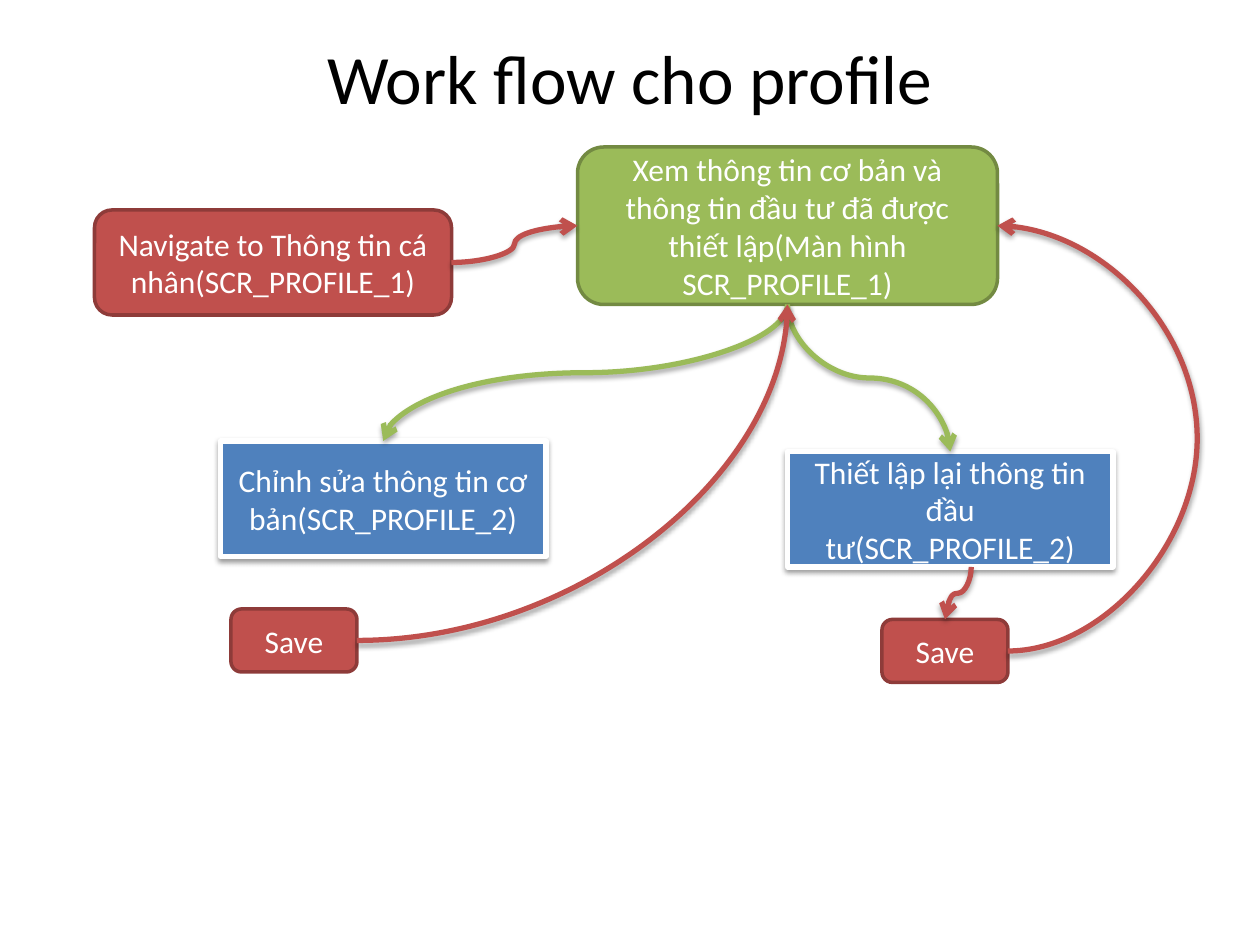
from pptx import Presentation
from pptx.dml.color import RGBColor
from pptx.enum.shapes import MSO_CONNECTOR, MSO_SHAPE
from pptx.enum.text import MSO_ANCHOR, PP_ALIGN
from pptx.oxml import parse_xml
from pptx.oxml.ns import nsdecls
from pptx.util import Inches, Pt

RED, GREEN, BLUE = "C0504D", "9BBB59", "4F81BD"
WHITE, BLACK = "FFFFFF", "000000"
EDGES = {RED: "8E3B39", GREEN: "738A42", BLUE: WHITE}


def color(code):
    return RGBColor.from_string(code)


def write(shape, text, size=18, ink=WHITE, font="Calibri"):
    frame = shape.text_frame
    frame.word_wrap = True
    frame.vertical_anchor = MSO_ANCHOR.MIDDLE
    para = frame.paragraphs[0]
    para.alignment = PP_ALIGN.CENTER
    run = para.add_run()
    run.text = text
    run.font.size = Pt(size)
    run.font.name = font
    run.font.color.rgb = color(ink)


def shade(shape, alpha, dist):
    """Add a soft shadow that falls straight down."""
    shape._element.spPr.append(parse_xml(
        f'<a:effectLst {nsdecls("a")}><a:outerShdw blurRad="{Pt(3.1)}" '
        f'dist="{Pt(dist)}" dir="5400000" rotWithShape="0">'
        f'<a:srgbClr val="{BLACK}"><a:alpha val="{alpha * 1000}"/></a:srgbClr>'
        '</a:outerShdw></a:effectLst>'))


def side(box, index, shift=0):
    """Middle of a side: 0 top, 1 left, 2 bottom, 3 right."""
    x, y, w, h = box
    spots = [(x + w / 2, y), (x, y + h / 2), (x + w / 2, y + h), (x + w, y + h / 2)]
    left, top = spots[index]
    return left + shift, top


class Flow:
    """Draws on a grid of 120 columns by 90 rows."""
    cell = Inches(1) / 12

    def __init__(self, deck):
        self.slide = deck.slides.add_slide(deck.slide_layouts[6])
        self.shapes = self.slide.shapes

    def grid(self, *units):
        return [round(u * self.cell) for u in units]

    def title(self, text, box):
        write(self.shapes.add_textbox(*self.grid(*box)), text, size=39.6, ink=BLACK)

    def box(self, text, box, fill):
        plain = fill == BLUE
        kind = MSO_SHAPE.RECTANGLE if plain else MSO_SHAPE.ROUNDED_RECTANGLE
        shape = self.shapes.add_shape(kind, *self.grid(*box))
        shape.fill.solid()
        shape.fill.fore_color.rgb = color(fill)
        shape.line.color.rgb = color(EDGES[fill])
        shape.line.width = Pt(3 if plain else 2)
        if plain:
            shade(shape, 38, 1.6)
        else:
            shape.shadow.inherit = False
        write(shape, text)
        return box

    def curve(self, start, end, ink=RED, down=False, preset=None, bend=None):
        (x1, y1), (x2, y2) = start, end
        turn = 0
        if down:  # leave vertically: lay the curve flat, then turn it
            sign = 1 if x2 > x1 else -1
            midx, midy = (x1 + x2) / 2, (y1 + y2) / 2
            wide, high = (y2 - y1) / 2, abs(x2 - x1) / 2
            x1, x2 = midx + sign * wide, midx - sign * wide
            y1, y2 = midy - high, midy + high
            turn = 270 if sign > 0 else 90
        line = self.shapes.add_connector(MSO_CONNECTOR.CURVE, *self.grid(x1, y1, x2, y2))
        props = line._element.spPr
        if turn:
            props.xfrm.set("rot", str(turn * 60000))
        if preset:
            props.prstGeom.set("prst", preset)
        if bend is not None:
            props.prstGeom.get_or_add_avLst().append(parse_xml(
                f'<a:gd {nsdecls("a")} name="adj1" fmla="val {round(bend * 100000)}"/>'))
        line.line.color.rgb = color(ink)
        line.line.width = Pt(3)
        line.line._get_or_add_ln().append(
            parse_xml(f'<a:tailEnd {nsdecls("a")} type="arrow"/>'))
        shade(line, 35, 1.8)


def main():
    deck = Presentation()
    deck.slide_width, deck.slide_height = Inches(10), Inches(7.5)
    flow = Flow(deck)
    flow.title("Work flow cho profile", (6, 3.6, 108, 7.4))

    # Entry and overview
    start = flow.box("Navigate to Thông tin cá nhân(SCR_PROFILE_1)", (9, 20, 34, 10), RED)
    view = flow.box("Xem thông tin cơ bản và thông tin đầu tư đã được thiết lập"
                    "(Màn hình SCR_PROFILE_1)", (55, 14, 40, 15), GREEN)
    flow.curve(side(start, 3), side(view, 1))

    # Two editing screens
    basic = flow.box("Chỉnh sửa thông tin cơ bản(SCR_PROFILE_2)", (21, 42, 31, 11), BLUE)
    flow.curve(side(view, 2), side(basic, 0), GREEN, down=True)
    invest = flow.box("Thiết lập lại thông tin đầu tư(SCR_PROFILE_2)", (75, 43, 31, 11), BLUE)
    flow.curve(side(view, 2), side(invest, 0), GREEN, down=True)

    # Save buttons and the ways back
    left = flow.box("Save", (22, 58, 12, 6), RED)
    right = flow.box("Save", (84, 59, 12, 6), RED)
    flow.curve(side(left, 3), side(view, 2), preset="curvedConnector2")
    flow.curve(side(invest, 2, shift=2), side(right, 0), down=True)
    flow.curve(side(right, 3), side(view, 3), bend=-18)

    deck.save("out.pptx")


if __name__ == "__main__":
    main()
